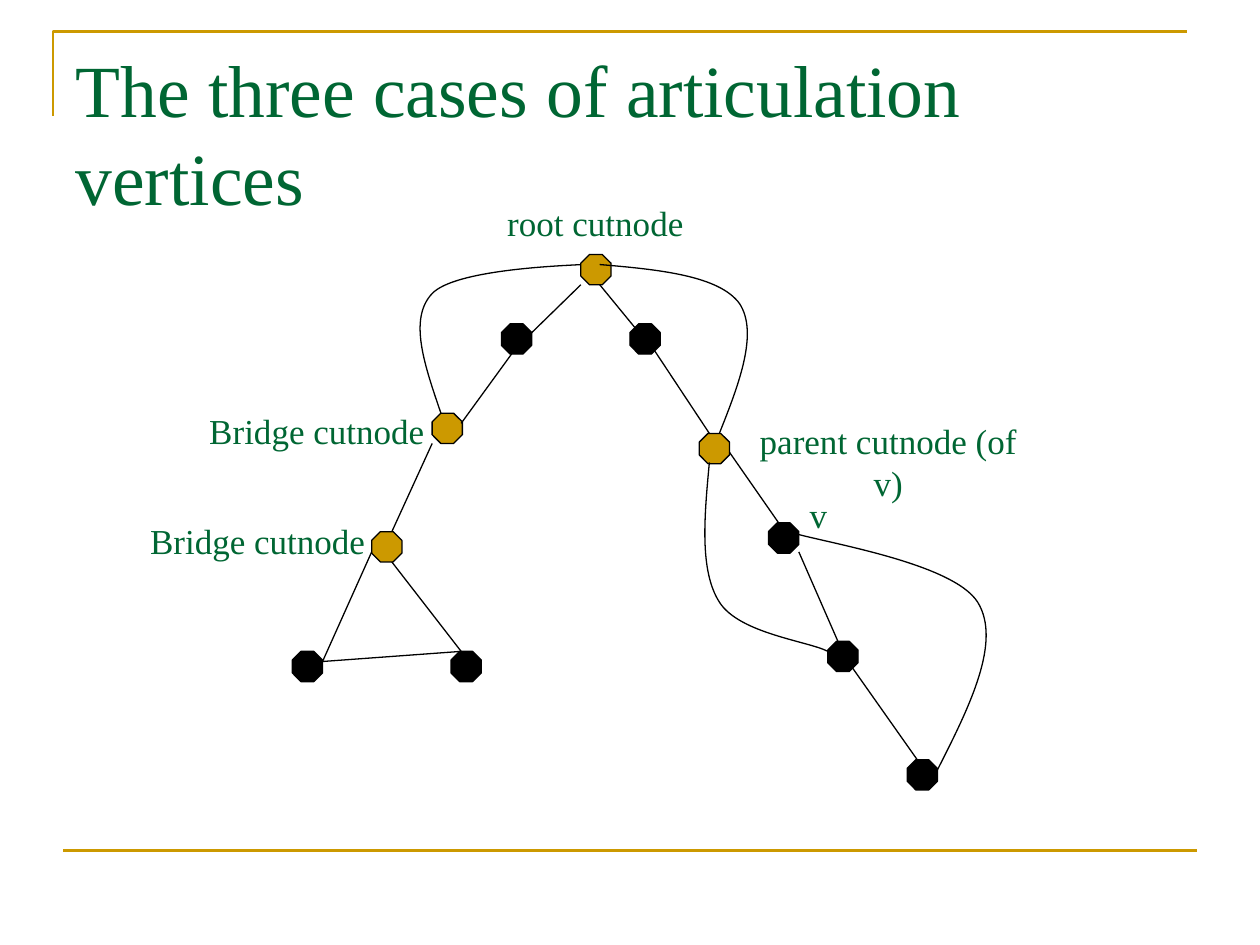
from dataclasses import dataclass

from pptx import Presentation
from pptx.dml.color import RGBColor
from pptx.enum.shapes import MSO_CONNECTOR, MSO_SHAPE
from pptx.enum.text import MSO_ANCHOR, PP_ALIGN
from pptx.oxml.xmlchemy import OxmlElement
from pptx.util import Inches, Pt

Point = tuple[float, float]


@dataclass(frozen=True)
class Theme:
    green: RGBColor = RGBColor(0x00, 0x66, 0x33)
    gold: RGBColor = RGBColor(0xCC, 0x99, 0x00)
    black: RGBColor = RGBColor(0x00, 0x00, 0x00)
    font: str = "Times New Roman"
    title_size: Pt = Pt(42)
    label_size: Pt = Pt(20)
    rule_width: Pt = Pt(1.5)
    edge_width: Pt = Pt(0.75)


@dataclass(frozen=True)
class Label:
    text: str
    left: float
    top: float
    width: float


THEME = Theme()
NODE_SIZE = 0.24
LABEL_HEIGHT = 0.43

CUTNODES = [(4.61, 2.02), (2.95, 4.22), (3.43, 3.28), (5.55, 3.44)]
PLAIN_NODES = [(3.98, 2.57), (5, 2.57), (2.32, 5.17), (3.58, 5.17),
               (6.1, 4.15), (6.57, 5.09), (7.2, 6.03)]
TREE_EDGES = [
    ((4.61, 2.26), (4.21, 2.65)),
    ((4.06, 2.81), (3.66, 3.36)),
    ((3.43, 3.52), (3.11, 4.22)),
    ((2.95, 4.38), (2.56, 5.25)),
    ((3.11, 4.46), (3.66, 5.17)),
    ((2.56, 5.25), (3.66, 5.17)),
    ((4.76, 2.26), (5.08, 2.65)),
    ((5.16, 2.73), (5.63, 3.44)),
    ((5.79, 3.59), (6.18, 4.15)),
    ((6.34, 4.38), (6.65, 5.09)),
    ((6.73, 5.25), (7.28, 6.03)),
]
BACK_EDGES = [
    [(7.44, 6.11), (7.7, 5.6), (7.95, 5.09), (7.76, 4.78),
     (7.56, 4.46), (6.5, 4.3), (6.26, 4.22)],
    [(5.71, 3.44), (5.87, 3.04), (6.02, 2.64), (5.87, 2.41),
     (5.71, 2.19), (5.24, 2.14), (4.76, 2.1)],
    [(3.5, 3.28), (3.37, 2.9), (3.24, 2.53), (3.43, 2.33),
     (3.61, 2.14), (4.44, 2.11), (4.61, 2.1)],
    [(5.63, 3.67), (5.59, 4.1), (5.55, 4.53), (5.71, 4.78),
     (5.87, 5.03), (6.42, 5.09), (6.57, 5.17)],
]
LABELS = [
    Label("Bridge cutnode", 1.53, 3.2, 1.97),
    Label("Bridge cutnode", 1.06, 4.07, 1.97),
    Label("parent cutnode (of v)", 5.8, 3.28, 2.5),
    Label("root cutnode", 3.74, 1.55, 1.97),
    Label("v", 6.26, 3.87, 0.47),
]


def style_text(frame, text: str, size: Pt, align: PP_ALIGN) -> None:
    frame.text = text
    frame.word_wrap = True
    frame.vertical_anchor = MSO_ANCHOR.TOP
    paragraph = frame.paragraphs[0]
    paragraph.alignment = align
    font = paragraph.runs[0].font
    font.name, font.size = THEME.font, size
    font.color.rgb = THEME.green


def add_title(slide, text: str) -> None:
    title = slide.shapes.title
    title.left, title.top = Inches(0.5), Inches(0.3)
    title.width, title.height = Inches(9), Inches(1.25)
    style_text(title.text_frame, text, THEME.title_size, PP_ALIGN.LEFT)


def add_line(slide, start: Point, end: Point, color: RGBColor, width: Pt) -> None:
    ends = [Inches(value) for value in (*start, *end)]
    line = slide.shapes.add_connector(MSO_CONNECTOR.STRAIGHT, *ends)
    line.line.color.rgb, line.line.width = color, width
    line._element.spPr.append(OxmlElement("a:effectLst"))


def add_outline(slide, points: list[Point], color: RGBColor, width: Pt):
    """Draw an open, unfilled path through the points."""
    start, *rest = [(Inches(x), Inches(y)) for x, y in points]
    builder = slide.shapes.build_freeform(*start)
    builder.add_line_segments(rest, close=False)
    outline = builder.convert_to_shape()
    outline.shadow.inherit = False
    outline.fill.background()
    outline.line.color.rgb, outline.line.width = color, width
    return outline


def add_curve(slide, points: list[Point]) -> None:
    """Draw a Bézier path: a start point, then three points per segment."""
    curve = add_outline(slide, points, THEME.black, THEME.edge_width)
    steps = curve._element.xpath(".//a:lnTo")
    for first in range(0, len(steps), 3):
        bezier = OxmlElement("a:cubicBezTo")
        steps[first].addprevious(bezier)
        for step in steps[first:first + 3]:
            bezier.append(step[0])
            step.getparent().remove(step)


def add_node(slide, corner: Point, color: RGBColor) -> None:
    left, top = corner
    node = slide.shapes.add_shape(MSO_SHAPE.OCTAGON, Inches(left), Inches(top),
                                  Inches(NODE_SIZE), Inches(NODE_SIZE))
    node.adjustments[0] = 0.29
    node.shadow.inherit = False
    node.fill.solid()
    node.fill.fore_color.rgb = color
    node.line.color.rgb, node.line.width = THEME.black, THEME.edge_width


def add_label(slide, label: Label) -> None:
    box = slide.shapes.add_textbox(Inches(label.left), Inches(label.top),
                                   Inches(label.width), Inches(LABEL_HEIGHT))
    style_text(box.text_frame, label.text, THEME.label_size, PP_ALIGN.CENTER)


def main() -> None:
    presentation = Presentation()
    presentation.slide_width, presentation.slide_height = Inches(10), Inches(7.5)
    slide = presentation.slides.add_slide(
        presentation.slide_layouts.get_by_name("Title Only"))

    add_outline(slide, [(0.42, 0.92), (0.42, 0.25), (9.42, 0.25)],
                THEME.gold, THEME.rule_width)
    add_line(slide, (0.5, 6.75), (9.5, 6.75), THEME.gold, THEME.rule_width)
    add_title(slide, "The three cases of articulation vertices")

    for nodes, color in ((CUTNODES, THEME.gold), (PLAIN_NODES, THEME.black)):
        for corner in nodes:
            add_node(slide, corner, color)
    for start, end in TREE_EDGES:
        add_line(slide, start, end, THEME.black, THEME.edge_width)
    for points in BACK_EDGES:
        add_curve(slide, points)
    for label in LABELS:
        add_label(slide, label)

    presentation.save("out.pptx")


if __name__ == "__main__":
    main()
